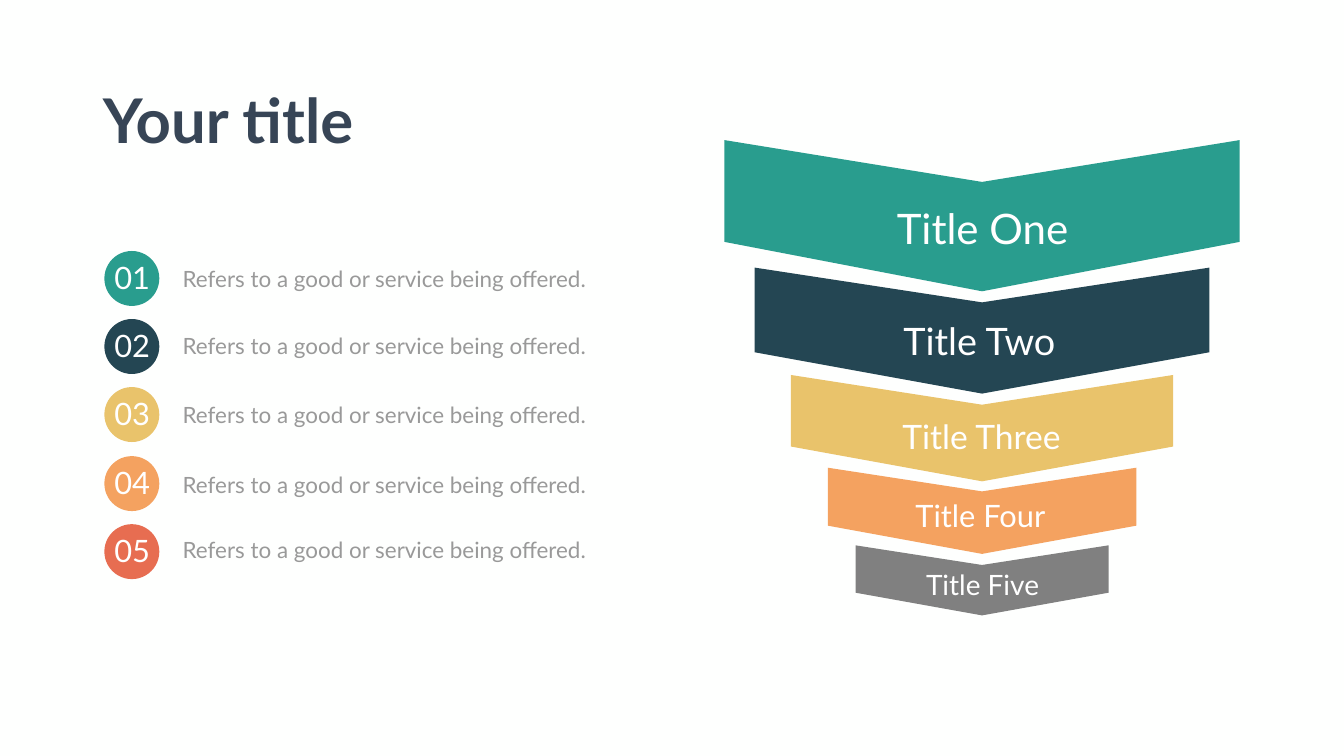
from dataclasses import dataclass

from pptx import Presentation
from pptx.dml.color import RGBColor
from pptx.enum.shapes import MSO_SHAPE
from pptx.enum.text import MSO_AUTO_SIZE, PP_ALIGN
from pptx.shapes.autoshape import Shape
from pptx.slide import Slide
from pptx.util import Inches, Pt

OVAL = MSO_SHAPE.OVAL
FIT_SHAPE = MSO_AUTO_SIZE.SHAPE_TO_FIT_TEXT
LEFT = PP_ALIGN.LEFT
CENTER = PP_ALIGN.CENTER

PAPER = RGBColor(0xFE, 0xFF, 0xFE)
WHITE = RGBColor(0xFF, 0xFF, 0xFF)
SLATE = RGBColor(0x37, 0x45, 0x56)
TEXT_GRAY = RGBColor(0x99, 0x99, 0x99)
TEAL = RGBColor(0x29, 0x9D, 0x8E)
NAVY = RGBColor(0x24, 0x46, 0x53)
YELLOW = RGBColor(0xE9, 0xC3, 0x6B)
ORANGE = RGBColor(0xF4, 0xA2, 0x60)
RED = RGBColor(0xE7, 0x6D, 0x51)
GRAY = RGBColor(0x80, 0x80, 0x80)

FONT = "Lato"
FUNNEL_CENTER = 19.48
BADGE_LEFT = 2.07
BADGE_SIZE = 1.09
DESCRIPTION = "Refers to a good or service being offered."


@dataclass(frozen=True)
class Frame:
    left: float
    top: float
    width: float
    height: float


@dataclass(frozen=True)
class TextStyle:
    size: int
    color: RGBColor
    bold: bool = False
    align: PP_ALIGN = LEFT
    wrap: bool = False


@dataclass(frozen=True)
class Chevron:
    half_width: float
    top: float
    notch: float
    shoulder: float
    tip: float
    color: RGBColor
    label: str
    label_frame: Frame
    label_size: int


@dataclass(frozen=True)
class Entry:
    badge_top: float
    text_top: float
    color: RGBColor


TITLE_STYLE = TextStyle(88, SLATE, bold=True)
NUMBER_STYLE = TextStyle(44, WHITE)
DESCRIPTION_STYLE = TextStyle(32, TEXT_GRAY, align=CENTER, wrap=True)

CHEVRONS = [
    Chevron(5.11, 2.78, 3.61, 4.8, 5.78, TEAL, "Title One", Frame(17.69, 3.96, 3.64, 1.11), 60),
    Chevron(4.51, 5.31, 6, 6.99, 7.81, NAVY, "Title Two", Frame(17.82, 6.25, 3.35, 1.01), 54),
    Chevron(3.79, 7.44, 8.03, 8.86, 9.55, YELLOW, "Title Three", Frame(17.8, 8.21, 3.42, 0.91), 48),
    Chevron(3.06, 9.28, 9.75, 10.43, 10.99, ORANGE, "Title Four", Frame(18.06, 9.8, 2.83, 0.84), 44),
    Chevron(2.51, 10.82, 11.21, 11.76, 12.21, GRAY, "Title Five", Frame(18.27, 11.21, 2.48, 0.77), 40),
]

ENTRIES = [
    Entry(4.98, 5.21, TEAL),
    Entry(6.33, 6.55, NAVY),
    Entry(7.68, 7.91, YELLOW),
    Entry(9.05, 9.29, ORANGE),
    Entry(10.4, 10.59, RED),
]


def paint(shape: Shape, color: RGBColor) -> None:
    shape.shadow.inherit = False
    shape.fill.solid()
    shape.fill.fore_color.rgb = color
    shape.line.fill.background()


def add_text(page: Slide, text: str, frame: Frame, style: TextStyle) -> None:
    box = page.shapes.add_textbox(
        Inches(frame.left), Inches(frame.top), Inches(frame.width), Inches(frame.height)
    )
    box.text_frame.word_wrap = style.wrap
    box.text_frame.auto_size = FIT_SHAPE
    para = box.text_frame.paragraphs[0]
    para.alignment = style.align
    span = para.add_run()
    span.text = text
    formats = {"name": FONT, "size": Pt(style.size), "bold": style.bold}
    for name, value in formats.items():
        setattr(span.font, name, value)
    span.font.color.rgb = style.color


def add_chevron(page: Slide, chevron: Chevron) -> None:
    left = FUNNEL_CENTER - chevron.half_width
    right = FUNNEL_CENTER + chevron.half_width
    corners = [
        (left, chevron.top),
        (FUNNEL_CENTER, chevron.notch),
        (right, chevron.top),
        (right, chevron.shoulder),
        (FUNNEL_CENTER, chevron.tip),
        (left, chevron.shoulder),
    ]
    start, *others = [(Inches(x), Inches(y)) for x, y in corners]
    builder = page.shapes.build_freeform(*start)
    builder.add_line_segments(others, close=True)
    paint(builder.convert_to_shape(), chevron.color)
    add_text(page, chevron.label, chevron.label_frame, TextStyle(chevron.label_size, WHITE))


def add_entry(page: Slide, number: int, entry: Entry) -> None:
    badge = page.shapes.add_shape(
        OVAL, Inches(BADGE_LEFT), Inches(entry.badge_top), Inches(BADGE_SIZE), Inches(BADGE_SIZE)
    )
    paint(badge, entry.color)
    number_frame = Frame(BADGE_LEFT + 0.1, entry.badge_top + 0.11, 0.92, 0.84)
    add_text(page, f"{number:02d}", number_frame, NUMBER_STYLE)
    add_text(page, DESCRIPTION, Frame(3.48, entry.text_top, 8.29, 0.64), DESCRIPTION_STYLE)


def main() -> None:
    deck = Presentation()
    deck.slide_width = Inches(26.66)
    deck.slide_height = Inches(15)
    page = deck.slides.add_slide(deck.slide_layouts[6])
    page.background.fill.solid()
    page.background.fill.fore_color.rgb = PAPER

    add_text(page, "Your title", Frame(1.94, 1.57, 5.36, 1.58), TITLE_STYLE)
    for chevron in CHEVRONS:
        add_chevron(page, chevron)
    for number, entry in enumerate(ENTRIES, start=1):
        add_entry(page, number, entry)

    deck.save("out.pptx")


if __name__ == "__main__":
    main()
